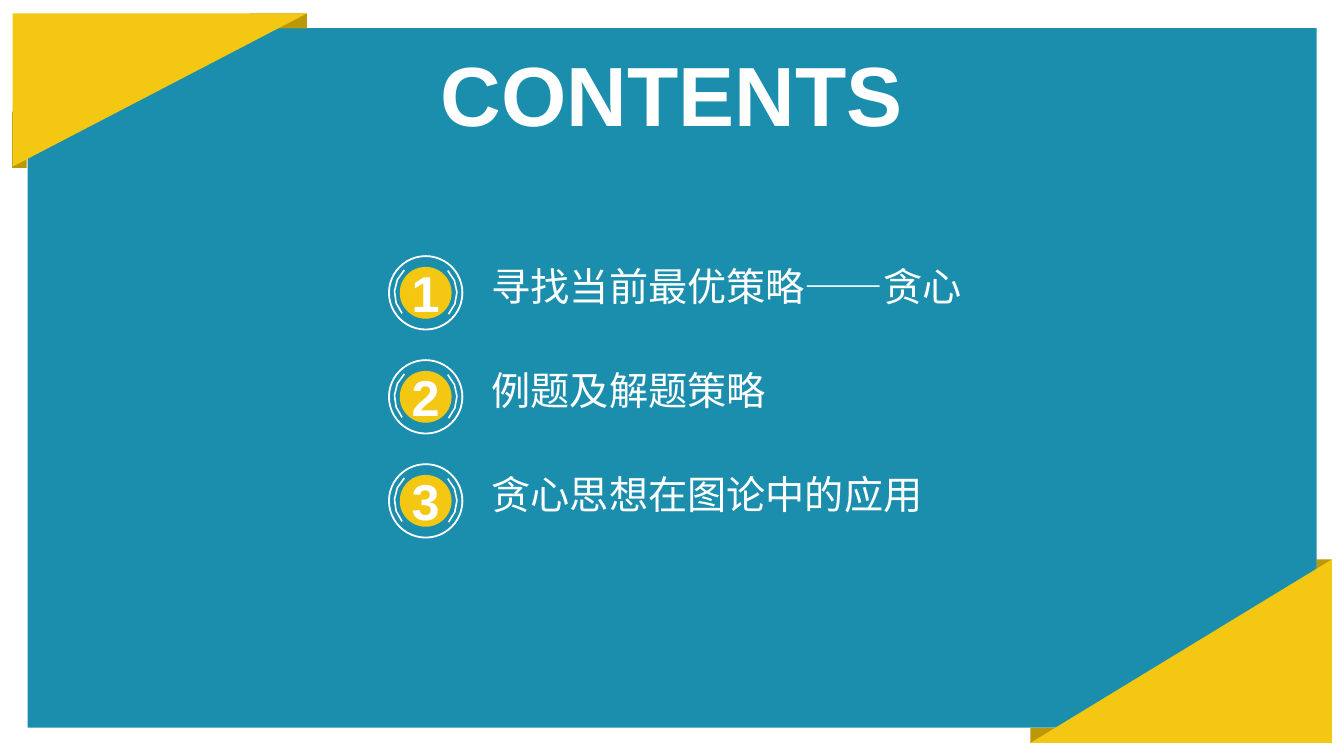
import math
from pptx import Presentation, util as u
from pptx.dml.color import RGBColor
from pptx.enum import shapes as kinds, text as modes
from pptx.oxml.ns import qn

# Square grid: ten cells to the inch
CELL = u.Inches(0.1)
COLUMNS, ROWS = 133.33, 75

WHITE, TEAL, YELLOW, FOLD = "FFFFFF", "1C8EAD", "F3C712", "BA9809"
FONT = "Arial"
TOPICS = ["寻找当前最优策略——贪心", "例题及解题策略", "贪心思想在图论中的应用"]

# Agenda rows
BADGE_COLUMN, FIRST_ROW, ROW_STEP = 42.23, 29.05, 10.32
RING_RADIUS, ARC_RADIUS, ARC_WIDTH, DISC_RADIUS = 3.68, 3.1, 0.16, 2.57
ARC_SWEEP, ARC_STEP = 88, 22


def cells(*counts):
    return [round(count * CELL) for count in counts]


def color(hex_string):
    return RGBColor.from_string(hex_string)


def paint(shape, fill, line=None, line_width=0.75):
    shape.shadow.inherit = False
    shape.fill.solid()
    shape.fill.fore_color.rgb = color(fill)
    if line:
        shape.line.color.rgb = color(line)
        shape.line.width = u.Pt(line_width)
    else:
        shape.line.fill.background()


def add_preset(shapes, kind, box, fill, rotation=0, mirrored=False, line=None):
    shape = shapes.add_shape(kind, *cells(*box))
    paint(shape, fill, line)
    shape.rotation = rotation
    if mirrored:
        shape.element.spPr.find(qn("a:xfrm")).set("flipH", "1")
    return shape


def write(shape, content, size, bold=False, centred=True, spacing=1.0,
          anchor=modes.MSO_ANCHOR.TOP, insets=(0, 0)):
    frame = shape.text_frame
    frame.text = content
    frame.word_wrap = True
    frame.auto_size = modes.MSO_AUTO_SIZE.NONE
    frame.vertical_anchor = anchor
    frame.margin_left = frame.margin_right = u.Inches(insets[0])
    frame.margin_top = frame.margin_bottom = u.Inches(insets[1])
    paragraph = frame.paragraphs[0]
    paragraph.alignment = modes.PP_ALIGN.CENTER if centred else modes.PP_ALIGN.LEFT
    paragraph.line_spacing = spacing
    paragraph.space_before = paragraph.space_after = u.Pt(0)
    font = paragraph.runs[0].font
    font.name, font.size, font.bold = FONT, u.Pt(size), bold
    font.color.rgb = color(WHITE)


def fill_placeholder(placeholder, box, content, size, **text_format):
    placeholder.left, placeholder.top, placeholder.width, placeholder.height = cells(*box)
    write(placeholder, content, size, **text_format)
    # No bullet or hanging indent, and in front of the backdrop
    properties = placeholder.text_frame.paragraphs[0]._p.get_or_add_pPr()
    properties.set("marL", "0")
    properties.set("indent", "0")
    properties.append(properties.makeelement(qn("a:buNone"), {}))
    placeholder.element.getparent().append(placeholder.element)


def add_arc_band(shapes, column, row, start):
    def edge(radius, angles):
        return [cells(column + radius * math.cos(math.radians(angle)),
                      row + radius * math.sin(math.radians(angle))) for angle in angles]

    angles = range(start, start + ARC_SWEEP + 1, ARC_STEP)
    points = (edge(ARC_RADIUS + ARC_WIDTH / 2, angles)
              + edge(ARC_RADIUS - ARC_WIDTH / 2, reversed(angles)))
    builder = shapes.build_freeform(*points[0])
    builder.add_line_segments(points[1:], close=True)
    paint(builder.convert_to_shape(), WHITE)


def add_badge(slide, row, number):
    badge = slide.shapes.add_group_shape().shapes

    def circle_box(radius):
        return BADGE_COLUMN - radius, row - radius, 2 * radius, 2 * radius

    ring = add_preset(badge, kinds.MSO_SHAPE.DONUT, circle_box(RING_RADIUS), WHITE, line=WHITE)
    ring.adjustments[0] = 0.01
    for start in (139, -45):
        add_arc_band(badge, BADGE_COLUMN, row, start)
    disc = add_preset(badge, kinds.MSO_SHAPE.OVAL, circle_box(DISC_RADIUS), YELLOW)
    write(disc, str(number), 36, bold=True, anchor=modes.MSO_ANCHOR.MIDDLE)


def add_backdrop(slide):
    rectangle, triangle = kinds.MSO_SHAPE.RECTANGLE, kinds.MSO_SHAPE.RIGHT_TRIANGLE
    shapes = slide.shapes
    add_preset(shapes, rectangle, (130.6, 55.5, 1.5, 1), FOLD)
    add_preset(shapes, rectangle, (2.73, 2.8, 127.9, 69.4), TEAL)
    # Top left ribbon
    add_preset(shapes, rectangle, (24.74, 1.33, 5.7, 1.5), FOLD)
    add_preset(shapes, rectangle, (-0.87, 13.14, 5.6, 1.45), FOLD, rotation=90)
    add_preset(shapes, triangle, (1.24, 1.33, 29.2, 15.2), YELLOW, rotation=180, mirrored=True)
    # Bottom right ribbon
    add_preset(shapes, rectangle, (102.23, 72.2, 2.9, 1.5), FOLD)
    add_preset(shapes, triangle, (102.23, 55.5, 29.9, 18.2), YELLOW, mirrored=True)


def main():
    presentation = Presentation()
    presentation.slide_width, presentation.slide_height = cells(COLUMNS, ROWS)
    comparison_layout = presentation.slide_layouts[4]
    slide = presentation.slides.add_slide(comparison_layout)
    title, *bodies = list(slide.placeholders)

    add_backdrop(slide)
    fill_placeholder(title, (40.65, 4.22, 52, 10.1), "CONTENTS", 60, bold=True)

    # Agenda
    for index, (topic, body) in enumerate(zip(TOPICS, bodies)):
        row = FIRST_ROW + index * ROW_STEP
        add_badge(slide, row, index + 1)
        fill_placeholder(body, (47.78, row - 3.05, 51.9, 5.7), topic, 28,
                         centred=False, spacing=0.9, insets=(0.1, 0.05))

    # Unused placeholders
    for body in bodies[len(TOPICS):]:
        body.element.getparent().remove(body.element)

    presentation.save("out.pptx")


if __name__ == "__main__":
    main()
